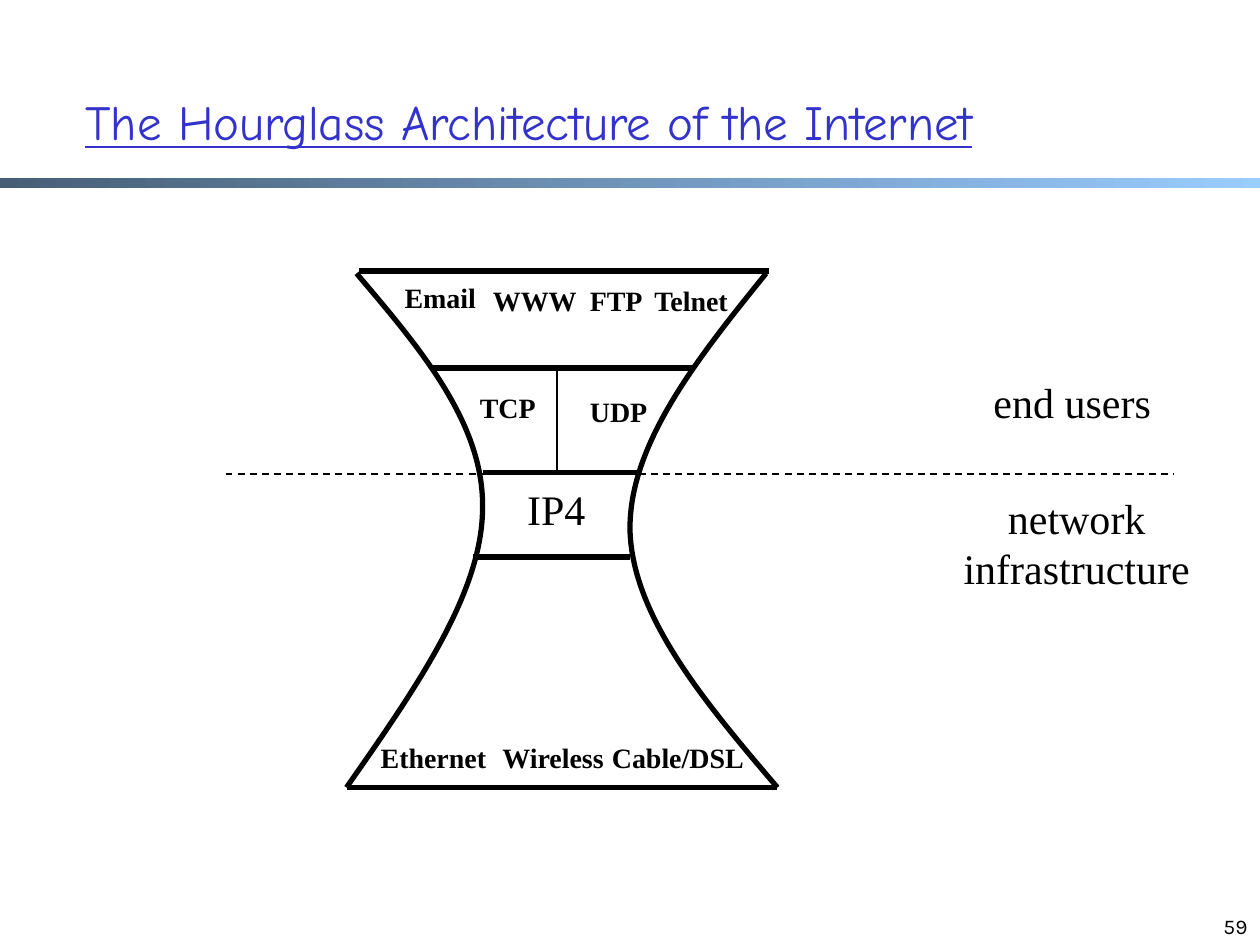
"""Build a slide showing the hourglass architecture of the Internet."""

from itertools import islice

from lxml.etree import SubElement
from pptx import Presentation
from pptx.dml.color import RGBColor
from pptx.enum.dml import MSO_LINE
from pptx.enum.shapes import MSO_CONNECTOR, MSO_SHAPE
from pptx.enum.text import MSO_ANCHOR, MSO_AUTO_SIZE, PP_ALIGN
from pptx.oxml.ns import qn
from pptx.util import Inches, Pt

THEME = {
    "ink": RGBColor(0x00, 0x00, 0x00),
    "title": RGBColor(0x33, 0x33, 0xCC),
    "bar": [RGBColor(0x47, 0x5E, 0x76), RGBColor(0x99, 0xCC, 0xFF)],
    "title_font": "Comic Neue",
    "number_font": "Karla",
    "body_font": "Times New Roman",
    "title_size": 28,
    "large_size": 24,
    "label_size": 16,
    "number_size": 12,
    "thick": 3,
    "thin": 1,
}

TITLE = ("The Hourglass Architecture of the Internet", (0.58, 0.42, 8.5, 1.08))
SLIDE_NUMBER = ("59", (7.67, 7, 2.33, 0.5))
BAR = (0, 1.41, 10, 0.08)
DIVIDER = (1.79, 3.76, 9.32, 3.76)
SIDE_NOTES = [
    (["network", "infrastructure"], (7.54, 3.86, 2.01, 0.91)),
    (["end users"], (7.78, 2.94, 1.46, 0.5)),
]
WAIST_LABEL = ("IP4", (4.08, 3.79, 0.67, 0.5))
LAYER_LABELS = [
    ("Email", 3.11, 2.18, 0.77),
    ("WWW", 3.81, 2.2, 0.87),
    ("FTP", 4.58, 2.2, 0.62),
    ("Telnet", 5.08, 2.2, 0.81),
    ("TCP", 3.71, 3.05, 0.64),
    ("UDP", 4.58, 3.08, 0.66),
    ("Ethernet", 2.92, 5.83, 1.04),
    ("Wireless", 3.88, 5.83, 1.02),
    ("Cable/DSL", 4.75, 5.83, 1.26),
]
LABEL_HEIGHT = 0.37
SIDE_CURVES = [
    [(2.83, 2.17), (3.34, 2.77), (3.85, 3.37), (3.83, 4.05),
     (3.82, 4.73), (3.28, 5.49), (2.75, 6.25)],
    [(6.08, 2.17), (5.53, 2.85), (4.99, 3.53), (5, 4.21),
     (5.02, 4.89), (5.59, 5.57), (6.17, 6.25)],
]
LAYER_EDGES = [
    (2.85, 2.15, 6.1, 2.15),
    (3.42, 2.92, 5.5, 2.92),
    (3.83, 3.75, 5.08, 3.75),
    (3.75, 4.42, 5, 4.42),
    (2.75, 6.25, 6.17, 6.25),
]
TRANSPORT_SPLIT = (4.42, 2.92, 4.42, 3.75)


def add_text(shapes, lines, box, size, font="body_font", color="ink", align=PP_ALIGN.CENTER,
             anchor=MSO_ANCHOR.TOP, wrap=False, bold=False, underline=False):
    frame = shapes.add_textbox(*map(Inches, box)).text_frame
    frame.word_wrap = wrap
    frame.auto_size = MSO_AUTO_SIZE.NONE if wrap else MSO_AUTO_SIZE.SHAPE_TO_FIT_TEXT
    frame.vertical_anchor = anchor
    frame.text = "\n".join(lines)
    for paragraph in frame.paragraphs:
        paragraph.alignment = align
        paragraph.font.name = THEME[font]
        paragraph.font.size = Pt(THEME[size])
        paragraph.font.color.rgb = THEME[color]
        paragraph.font.bold = bold
        paragraph.font.underline = underline


def add_line(shapes, ends, weight, dash=None):
    connector = shapes.add_connector(MSO_CONNECTOR.STRAIGHT, *map(Inches, ends))
    connector.line.color.rgb = THEME["ink"]
    connector.line.width = Pt(THEME[weight])
    if dash:
        connector.line.dash_style = dash
    SubElement(connector._element.spPr, qn("a:effectLst"))


def add_curve(shapes, points):
    start, *controls = [(Inches(x), Inches(y)) for x, y in points]
    builder = shapes.build_freeform(*start)
    builder.add_line_segments(controls, close=False)
    shape = builder.convert_to_shape()
    shape.shadow.inherit = False
    shape.fill.background()
    shape.line.color.rgb = THEME["ink"]
    shape.line.width = Pt(THEME["thick"])
    segments = iter(list(shape._element.iter(qn("a:lnTo"))))
    while triple := list(islice(segments, 3)):
        outline = triple[0].getparent()
        bezier = SubElement(outline, qn("a:cubicBezTo"))
        for segment in triple:
            bezier.append(segment[0])
            outline.remove(segment)


def add_bar(shapes):
    bar = shapes.add_shape(MSO_SHAPE.RECTANGLE, *map(Inches, BAR))
    bar.shadow.inherit = False
    bar.line.fill.background()
    bar.fill.gradient()
    bar.fill.gradient_angle = 0
    for position, (stop, color) in enumerate(zip(bar.fill.gradient_stops, THEME["bar"])):
        stop.position = position
        stop.color.rgb = color


def add_hourglass(shapes):
    for points in SIDE_CURVES:
        add_curve(shapes, points)
    for edge in LAYER_EDGES:
        add_line(shapes, edge, "thick")
    add_line(shapes, TRANSPORT_SPLIT, "thin")
    text, box = WAIST_LABEL
    add_text(shapes, [text], box, "large_size")
    for text, left, top, width in LAYER_LABELS:
        add_text(shapes, [text], (left, top, width, LABEL_HEIGHT), "label_size", bold=True)


def main():
    presentation = Presentation()
    presentation.slide_width, presentation.slide_height = Inches(10), Inches(7.5)
    slide = presentation.slides.add_slide(presentation.slide_layouts[6])
    shapes = slide.shapes
    add_bar(shapes)
    text, box = SLIDE_NUMBER
    add_text(shapes, [text], box, "number_size", "number_font", align=PP_ALIGN.RIGHT,
             anchor=MSO_ANCHOR.BOTTOM, wrap=True)
    text, box = TITLE
    add_text(shapes, [text], box, "title_size", "title_font", "title", PP_ALIGN.LEFT,
             MSO_ANCHOR.MIDDLE, wrap=True, underline=True)
    add_line(shapes, DIVIDER, "thin", MSO_LINE.DASH)
    for lines, box in SIDE_NOTES:
        add_text(shapes, lines, box, "large_size")
    add_hourglass(shapes.add_group_shape().shapes)
    presentation.save("out.pptx")


if __name__ == "__main__":
    main()
